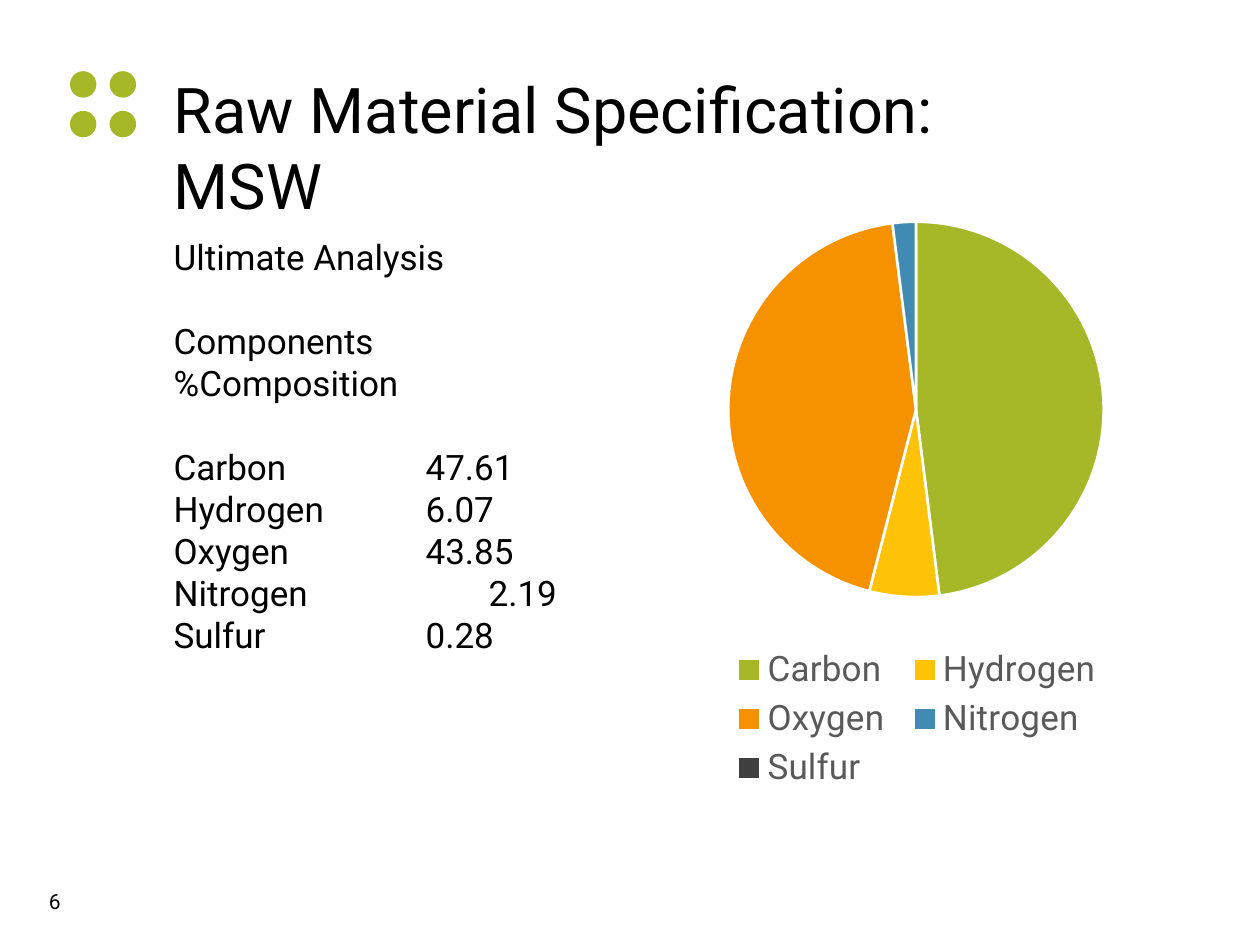
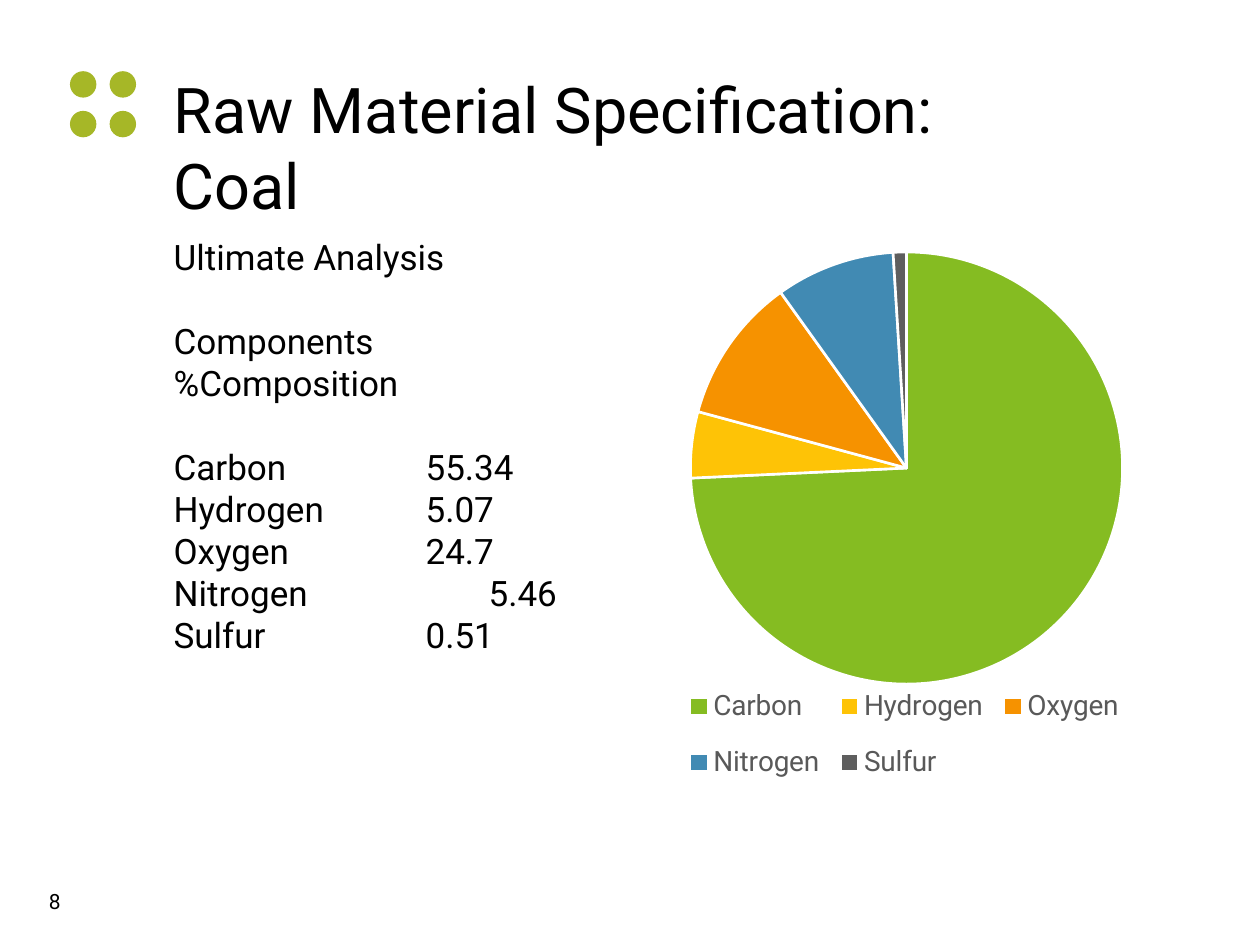
from lxml.etree import SubElement
from pptx import Presentation
from pptx.chart.data import CategoryChartData
from pptx.dml.color import RGBColor
from pptx.enum.chart import XL_CHART_TYPE, XL_LEGEND_POSITION
from pptx.enum.shapes import MSO_SHAPE
from pptx.enum.text import MSO_ANCHOR, MSO_AUTO_SIZE, PP_ALIGN
from pptx.oxml.ns import qn
from pptx.util import Inches, Pt

# Shared style
FONT = "Roboto"
BLACK = RGBColor(0x00, 0x00, 0x00)
WHITE = RGBColor(0xFF, 0xFF, 0xFF)
LEGEND_GREY = RGBColor(0x59, 0x59, 0x59)
OLIVE = RGBColor(0xA6, 0xB7, 0x27)
GREEN = RGBColor(0x85, 0xBC, 0x22)
YELLOW = RGBColor(0xFE, 0xC3, 0x06)
ORANGE = RGBColor(0xF6, 0x92, 0x00)
BLUE = RGBColor(0x41, 0x8A, 0xB3)
CHARCOAL = RGBColor(0x40, 0x40, 0x40)
GREY = RGBColor(0x5E, 0x5E, 0x5E)

# Grid of 100 columns by 75 rows
SLIDE_WIDTH, SLIDE_HEIGHT = Inches(10), Inches(7.5)
COLUMN, ROW = SLIDE_WIDTH / 100, SLIDE_HEIGHT / 75
ELEMENTS = ("Carbon", "Hydrogen", "Oxygen", "Nitrogen", "Sulfur")

# Areas are (left, top, width, height) in grid units
MATERIALS = (
    dict(name="MSW", number=6,
         composition=("47.61", "6.07", "43.85", "2.19", "0.28"),
         shares=(48, 6, 44, 2, 0),
         colors=(OLIVE, YELLOW, ORANGE, BLUE, CHARCOAL),
         frame=(48.1, 14.7, 49.2, 48.6), pie=(57.8, 17.6, 29.8, 29.8),
         legend=(57.2, 50.9, 31.2, 12.3), legend_size=20),
    dict(name="Coal", number=8,
         composition=("55.34", "5.07", "24.7", "5.46", "0.51"),
         shares=(75, 5, 11, 9, 1),
         colors=(GREEN, YELLOW, ORANGE, BLUE, GREY),
         frame=(53.3, 13.9, 37.2, 50.8), pie=(54.8, 20, 34.3, 34.3),
         legend=(53.8, 52.9, 36, 10.8), legend_size=16),
)


def place(left, top, width, height):
    return (round(left * COLUMN), round(top * ROW),
            round(width * COLUMN), round(height * ROW))


def style_font(font, size, color=BLACK):
    font.name, font.size = FONT, Pt(size)
    font.color.rgb = color


def write_text(box, text, size=20, align=PP_ALIGN.LEFT, anchor=MSO_ANCHOR.TOP,
               tabs=None, gaps=()):
    """Fill a box; tabs maps line to tab stop, gaps lists lines with space above."""
    frame = box.text_frame
    frame.word_wrap = True
    frame.auto_size = MSO_AUTO_SIZE.NONE
    frame.vertical_anchor = anchor
    frame.text = text
    for line, paragraph in enumerate(frame.paragraphs):
        paragraph.alignment = align
        if tabs and line in tabs:
            stops = SubElement(paragraph._p.get_or_add_pPr(), qn("a:tabLst"))
            SubElement(stops, qn("a:tab"), pos=str(round(tabs[line] * COLUMN)), algn="l")
        paragraph.space_before = Pt(size * 1.2 if line in gaps else 0)
        for run in paragraph.runs:
            style_font(run.font, size)


def add_text(slide, area, text, **style):
    write_text(slide.shapes.add_textbox(*place(*area)), text, **style)


def add_title(slide, text):
    title = slide.shapes.title
    title.left, title.top, title.width, title.height = place(12.8, 5.1, 70.6, 7.1)
    write_text(title, text, size=36)


def add_dots(slide):
    dots = slide.shapes.add_group_shape()
    for row in range(2):
        for column in range(2):
            dot = dots.shapes.add_shape(
                MSO_SHAPE.OVAL,
                *place(5.55 + 3.15 * column, 5.65 + 3.15 * row, 2.1, 2.1))
            dot.shadow.inherit = False
            dot.fill.solid()
            dot.fill.fore_color.rgb = OLIVE
            dot.line.fill.background()


def add_analysis(slide, composition):
    rows = [f"{element}\t{value}" for element, value in zip(ELEMENTS, composition)]
    lines = ["Ultimate Analysis", "Components\t%Composition", *rows]
    tabs = {line: 20 for line in range(2, len(lines))}
    tabs[1] = tabs[lines.index(rows[ELEMENTS.index("Nitrogen")])] = 25
    add_text(slide, (12.8, 18.2, 39, 31.3), "\n".join(lines), tabs=tabs, gaps=(1, 2))


def set_layout(parent, index, area, frame, inner=False):
    """Fix a chart part at an area of the slide, inside the chart's frame."""
    for old in parent.findall(qn("c:layout")):
        parent.remove(old)
    layout = SubElement(parent, qn("c:layout"))
    parent.insert(index, layout)
    manual = SubElement(layout, qn("c:manualLayout"))
    if inner:
        SubElement(manual, qn("c:layoutTarget"), val="inner")
    for axis in "xy":
        SubElement(manual, qn(f"c:{axis}Mode"), val="edge")
    left, top, width, height = area
    parts = dict(x=(left - frame[0]) / frame[2], y=(top - frame[1]) / frame[3],
                 w=width / frame[2], h=height / frame[3])
    for part, share in parts.items():
        SubElement(manual, qn(f"c:{part}"), val=f"{share:.4f}")


def add_pie(slide, shares, colors, frame, pie, legend, legend_size):
    data = CategoryChartData()
    data.categories = ELEMENTS
    data.add_series("Series 1", shares)
    chart = slide.shapes.add_chart(XL_CHART_TYPE.PIE, *place(*frame), data).chart
    chart.has_title = False
    style_font(chart.font, 10)
    plot = chart.plots[0]
    plot.vary_by_categories = True
    for index, color in enumerate(colors):
        slice_format = plot.series[0].points[index].format
        slice_format.fill.solid()
        slice_format.fill.fore_color.rgb = color
        slice_format.line.color.rgb = WHITE
        slice_format.line.width = Pt(1.5)

    chart.has_legend = True
    chart.legend.position = XL_LEGEND_POSITION.BOTTOM
    chart.legend.include_in_layout = False
    style_font(chart.legend.font, legend_size, LEGEND_GREY)
    set_layout(chart._chartSpace.find(".//" + qn("c:plotArea")), 0, pie, frame, inner=True)
    set_layout(chart._chartSpace.find(".//" + qn("c:legend")), 1, legend, frame)


def add_material_slide(deck, name, number, composition, **pie_chart):
    slide = deck.slides.add_slide(deck.slide_layouts[5])
    add_text(slide, (0.6, 69, 7.5, 5), str(number), size=12,
             align=PP_ALIGN.CENTER, anchor=MSO_ANCHOR.MIDDLE)
    add_dots(slide)
    add_title(slide, f"Raw Material Specification: {name}")
    add_analysis(slide, composition)
    add_pie(slide, **pie_chart)


def main():
    deck = Presentation()
    deck.slide_width, deck.slide_height = SLIDE_WIDTH, SLIDE_HEIGHT
    for material in MATERIALS:
        add_material_slide(deck, **material)
    deck.save("out.pptx")


if __name__ == "__main__":
    main()
